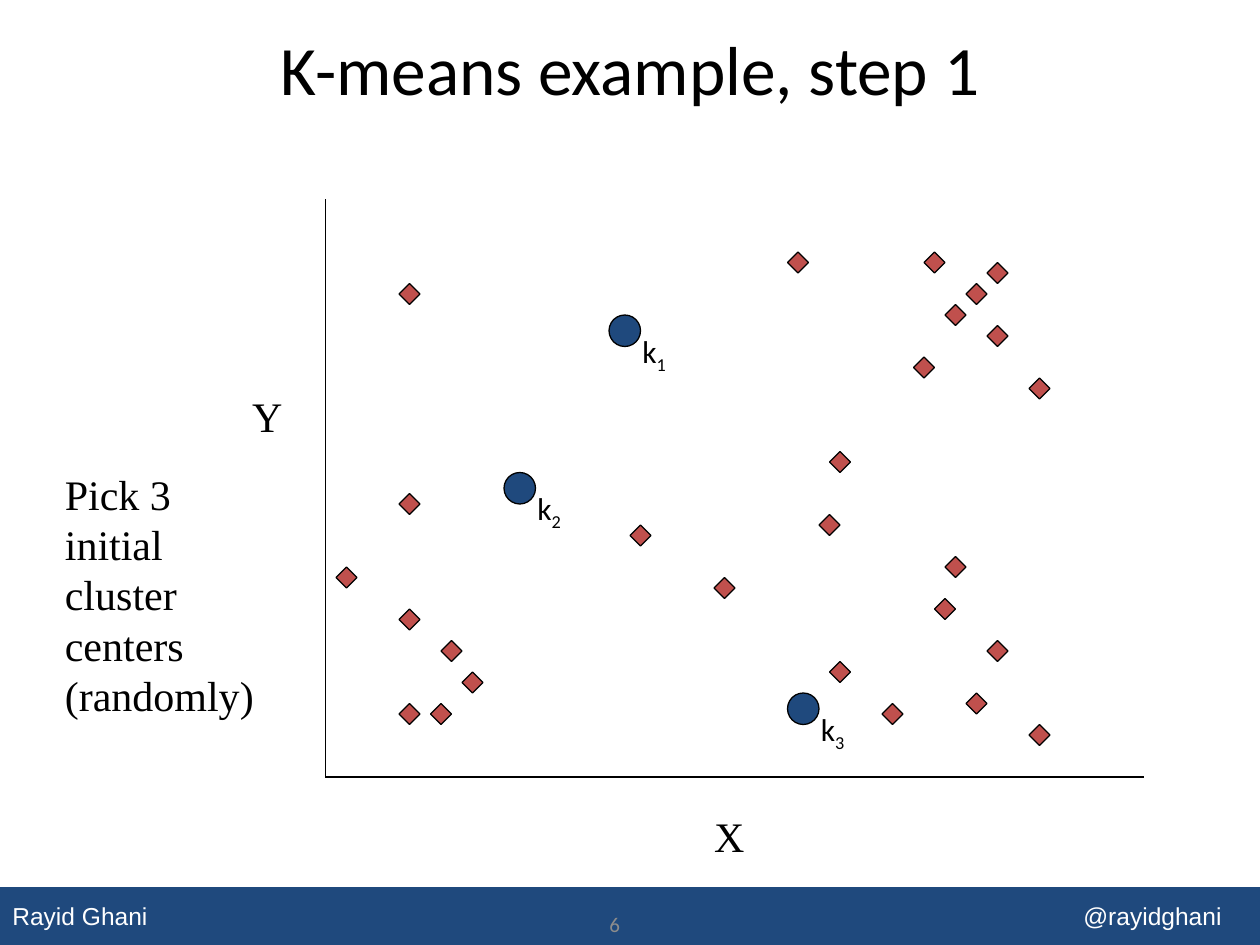
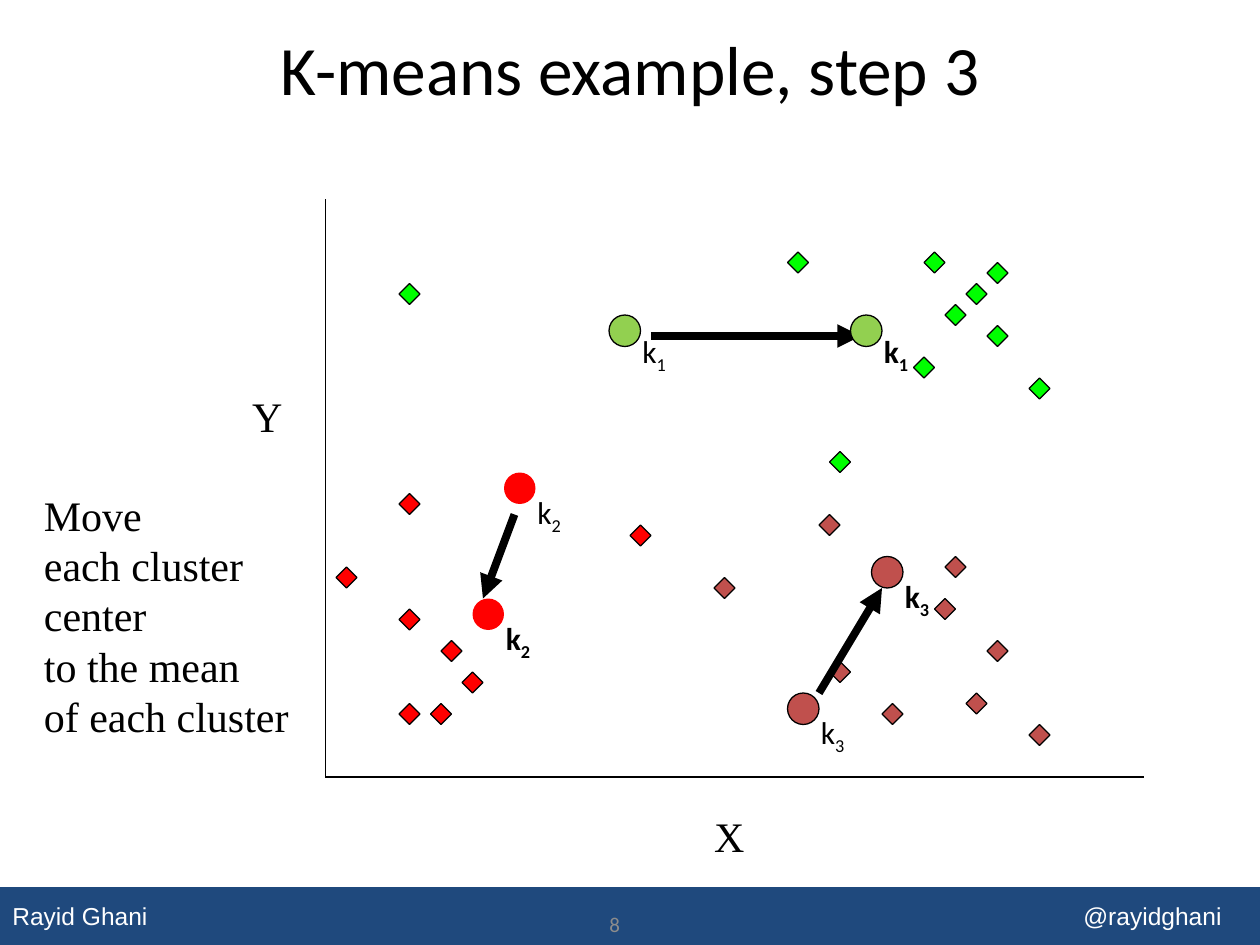
from pptx import Presentation
from pptx.dml.color import RGBColor
from pptx.enum.shapes import MSO_CONNECTOR, MSO_SHAPE
from pptx.enum.text import MSO_ANCHOR, PP_ALIGN
from pptx.oxml.ns import qn
from pptx.util import Pt
from lxml.etree import SubElement

NAVY = RGBColor(0x1F, 0x49, 0x7D)
BRICK = RGBColor(0xC0, 0x50, 0x4D)
RED = RGBColor(0xFF, 0, 0)
GREEN = RGBColor(0, 0xFF, 0)
LIME = RGBColor(0x92, 0xD0, 0x50)
GRAY = RGBColor(0x8C, 0x8C, 0x8C)
BLACK = RGBColor(0, 0, 0)
WHITE = RGBColor(0xFF, 0xFF, 0xFF)

SANS, SERIF, PLAIN = "Calibri", "Times New Roman", "Arial"

TOP = [(228, 162), (528, 144), (564, 150), (552, 162), (540, 174),
       (564, 186), (588, 216), (450, 144), (474, 258), (522, 204)]
LEFT = [(252, 366), (264, 384), (246, 402), (228, 348), (228, 282),
        (228, 402), (192, 324), (360, 300)]
LOW = [(474, 378), (504, 402), (534, 342), (468, 294), (408, 330),
       (564, 366), (552, 396), (540, 318), (588, 414)]
START = [(348, 180), (288, 270), (450, 396)]
MOVED = [(486, 180), (270, 342), (498, 318)]
MOVES = [((372, 192), (492, 192)), ((294, 294), (276, 342)),
         ((468, 396), (504, 336))]


class Deck:
    def __init__(self):
        self.file = Presentation()
        self.file.slide_width, self.file.slide_height = Pt(720), Pt(540)
        self.page = None

    def text(self, words, x, y, w, h, size=24, font=SERIF, color=BLACK,
             align=PP_ALIGN.LEFT, anchor=MSO_ANCHOR.TOP, bold=False, sub=""):
        box = self.page.shapes.add_textbox(Pt(x), Pt(y), Pt(w), Pt(h))
        frame = box.text_frame
        frame.word_wrap = True
        frame.vertical_anchor = anchor
        frame.text = words
        if sub:
            low = frame.paragraphs[0].add_run()
            low.text = sub
            low.font._element.set("baseline", "-25000")
        for para in frame.paragraphs:
            para.alignment = align
            for run in para.runs:
                run.font.size, run.font.name = Pt(size), font
                run.font.bold, run.font.color.rgb = bold, color

    def shape(self, kind, x, y, w, h, fill, edge=BLACK):
        item = self.page.shapes.add_shape(kind, Pt(x), Pt(y), Pt(w), Pt(h))
        item.shadow.inherit = False
        item.fill.solid()
        item.fill.fore_color.rgb = fill
        if edge is None:
            item.line.fill.background()
        else:
            item.line.color.rgb = edge
            item.line.width = Pt(0.75)

    def line(self, start, end, width=0.75, arrow=False):
        ends = [Pt(v) for v in (*start, *end)]
        item = self.page.shapes.add_connector(MSO_CONNECTOR.STRAIGHT, *ends)
        item.line.color.rgb = BLACK
        item.line.width = Pt(width)
        if arrow:
            SubElement(item.line._get_or_add_ln(), qn("a:tailEnd"), type="triangle")
        SubElement(item._element.spPr, qn("a:effectLst"))

    def points(self, spots, fill):
        for x, y in spots:
            self.shape(MSO_SHAPE.DIAMOND, x, y, 12, 12, fill)

    def center(self, num, spot, fill, edge=BLACK, **style):
        x, y = spot
        self.shape(MSO_SHAPE.OVAL, x, y, 18, 18, fill, edge)
        self.text("k", x + 12, y + 6, 42, 36, size=18, font=SANS,
                  sub=str(num), **style)

    def plot(self, title, number):
        self.page = self.file.slides.add_slide(self.file.slide_layouts[6])
        mid = MSO_ANCHOR.MIDDLE
        self.shape(MSO_SHAPE.RECTANGLE, 0, 507, 720, 33, NAVY, None)
        for words, x in (("Rayid Ghani", 0), ("@rayidghani", 612)):
            self.text(words, x, 507, 108, 33, size=14, font=PLAIN,
                      color=WHITE, anchor=mid)
        self.text(str(number), 288, 516, 73.4, 24, size=12, font=SANS,
                  color=GRAY, align=PP_ALIGN.RIGHT, anchor=mid)
        self.text(title, 54, 18, 612, 42, size=39.6, font=SANS,
                  align=PP_ALIGN.CENTER, anchor=mid)
        self.line((186, 114), (186, 444))
        self.line((186, 444), (654, 444))
        self.text("X", 401, 459.5, 32, 36)
        self.text("Y", 137, 219.5, 32, 36)


def first(deck):
    deck.plot("K-means example, step 1", 6)
    deck.text("Pick 3\ninitial\ncluster\ncenters\n(randomly)", 30, 264, 126, 180)
    deck.points(TOP + LEFT + LOW, BRICK)
    for num, spot in enumerate(START, 1):
        deck.center(num, spot, NAVY)


def third(deck):
    deck.plot("K-means example, step 3", 8)
    deck.text("Move\neach cluster center\nto the mean\nof each cluster",
              18, 276, 168, 180)
    for spots, fill in ((TOP, GREEN), (LEFT, RED), (LOW, BRICK)):
        deck.points(spots, fill)
    for start, end in MOVES:
        deck.line(start, end, width=4.5, arrow=True)
    looks = [(LIME, BLACK, MSO_ANCHOR.TOP), (RED, None, MSO_ANCHOR.MIDDLE),
             (BRICK, BLACK, MSO_ANCHOR.MIDDLE)]
    for spots, bold in ((START, False), (MOVED, True)):
        for num, (spot, look) in enumerate(zip(spots, looks), 1):
            fill, edge, anchor = look
            deck.center(num, spot, fill, edge, anchor=anchor, bold=bold)


def main():
    deck = Deck()
    first(deck)
    third(deck)
    deck.file.save("out.pptx")


if __name__ == "__main__":
    main()
